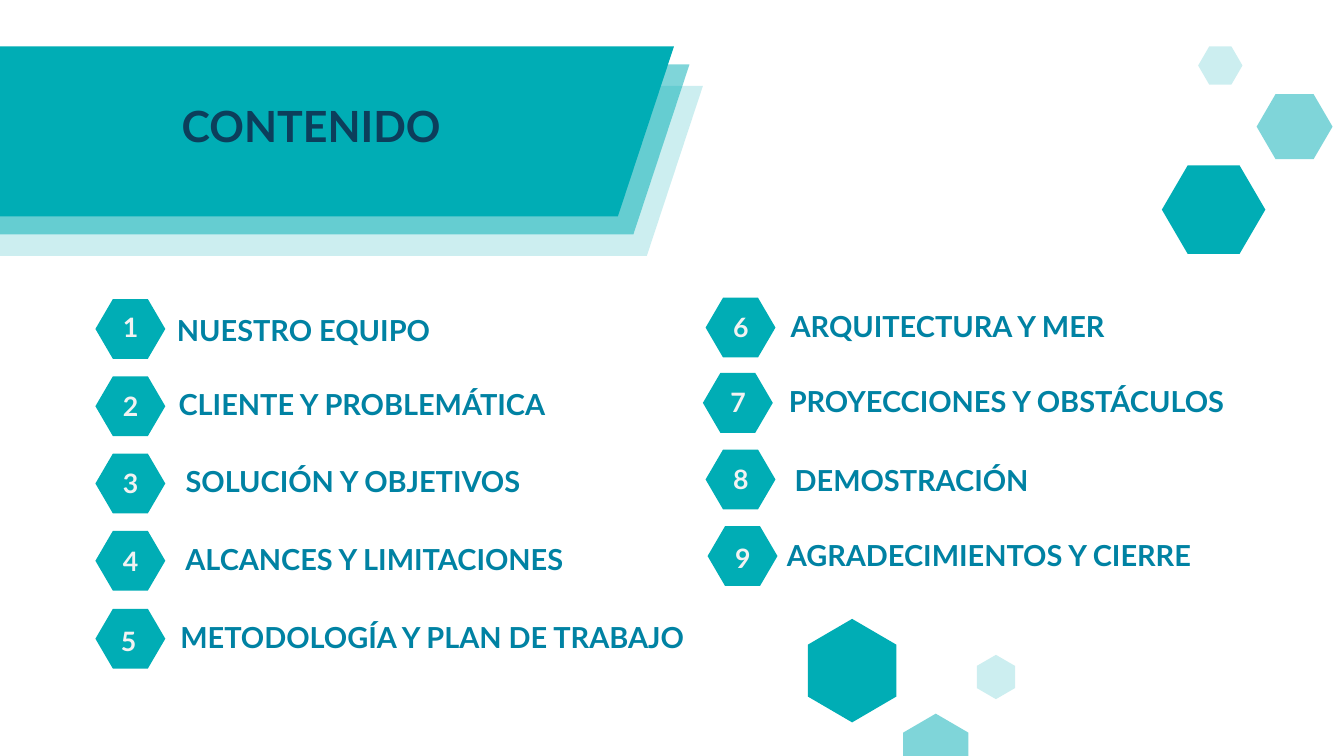
import pptx
import pptx.util
import pptx.dml.color
import pptx.enum.shapes
import pptx.enum.text
import pptx.oxml.ns
import lxml.etree

Inches = pptx.util.Inches
Pt = pptx.util.Pt
RGBColor = pptx.dml.color.RGBColor
Kind = pptx.enum.shapes.MSO_SHAPE

TEAL = RGBColor(0x00, 0xAD, 0xB5)
NAVY = RGBColor(0x0C, 0x3E, 0x5B)
BLUE = RGBColor(0x00, 0x82, 0xA3)
PALE = RGBColor(0xF2, 0xF2, 0xF2)


class Deck:
    font = "Lato"
    lead = 1.4  # line height over text size

    def __init__(self, wide, high):
        self.file = pptx.Presentation()
        self.file.slide_width = Inches(wide)
        self.file.slide_height = Inches(high)
        self.slide = self.file.slides.add_slide(self.file.slide_layouts[6])

    def shape(self, kind, x, y, w, h, slant, alpha):
        """Plain teal shape; slant is a share of its height."""
        shape = self.slide.shapes.add_shape(
            kind, Inches(x), Inches(y), Inches(w), Inches(h))
        shape.adjustments[0] = slant
        shape.shadow.inherit = False
        shape.fill.solid()
        shape.fill.fore_color.rgb = TEAL
        shape.line.fill.background()
        if alpha < 100:
            qn = pptx.oxml.ns.qn
            tint = shape.fill._xPr.find(".//" + qn("a:srgbClr"))
            lxml.etree.SubElement(tint, qn("a:alpha"), val=str(alpha * 1000))
        return shape

    def hexagon(self, x, y, w, h, alpha=100, turn=0):
        # The slanted sides take a quarter of the width each
        shape = self.shape(Kind.HEXAGON, x, y, w, h, w / h / 4, alpha)
        shape.rotation = turn

    def banner(self, x, y, alpha=100):
        self.shape(Kind.PARALLELOGRAM, x, y, 11.27, 2.53, 0.33, alpha)

    def text(self, words, x, y, w, h, size, color):
        box = self.slide.shapes.add_textbox(
            Inches(x), Inches(y), Inches(w), Inches(h))
        frame = box.text_frame
        frame.word_wrap = True
        frame.auto_size = pptx.enum.text.MSO_AUTO_SIZE.SHAPE_TO_FIT_TEXT
        frame.margin_left = frame.margin_right = 0
        frame.margin_top = frame.margin_bottom = 0
        para = frame.paragraphs[0]
        para.alignment = pptx.enum.text.PP_ALIGN.CENTER
        para.line_spacing = Pt(round(size * self.lead, 1))
        run = para.add_run()
        run.text = words
        run.font.name = self.font
        run.font.size = Pt(size)
        run.font.bold = True
        run.font.color.rgb = color

    def badge(self, digit, x, y, dx, dy):
        self.hexagon(x, y, 1.04, 0.89)
        self.text(digit, x + dx, y + dy, 0.27, 0.57, 28.6, PALE)


# Badge x and y, digit offset, then label x, y, width and words
TOPICS = [
    (1.42, 4.45, 0.39, 0.10, 2.60, 4.56, 3.83, "NUESTRO EQUIPO"),
    (1.42, 5.60, 0.39, 0.12, 2.49, 5.66, 5.79, "CLIENTE Y PROBLEMÁTICA"),
    (1.42, 6.75, 0.39, 0.12, 2.49, 6.81, 5.52, "SOLUCIÓN Y OBJETIVOS"),
    (1.42, 7.90, 0.39, 0.13, 2.49, 7.97, 6.16, "ALCANCES Y LIMITACIONES"),
    (1.42, 9.06, 0.36, 0.16, 2.46, 9.14, 7.94, "METODOLOGÍA Y PLAN DE TRABAJO"),
    (10.50, 4.43, 0.39, 0.12, 11.54, 4.50, 5.12, "ARQUITECTURA Y MER"),
    (10.46, 5.55, 0.39, 0.12, 11.50, 5.62, 6.95, "PROYECCIONES Y OBSTÁCULOS"),
    (10.50, 6.69, 0.39, 0.12, 11.73, 6.79, 3.67, "DEMOSTRACIÓN"),
    (10.53, 7.83, 0.39, 0.15, 11.37, 7.92, 6.69, "AGRADECIMIENTOS Y CIERRE"),
]

# Width, height and opacity of the three loose hexagons in each cluster
SIZES = [(1.54, 1.32, 100), (1.13, 0.97, 50), (0.66, 0.57, 20)]
# Turn of each cluster and the places of its hexagons
GROUPS = [
    (0, [(17.29, 2.46), (18.70, 1.40), (17.83, 0.69)]),
    (90, [(11.91, 9.32), (13.36, 10.70), (14.49, 9.79)]),
]


def main():
    deck = Deck(20, 11.25)

    # Loose hexagons, top right and bottom
    for turn, spots in GROUPS:
        for (x, y), (w, h, alpha) in zip(spots, SIZES):
            deck.hexagon(x, y, w, h, alpha, turn)

    # Title banner with its two paler layers
    deck.banner(-1.01, 0.96, 50)
    deck.banner(-0.81, 1.28, 20)
    deck.banner(-1.24, 0.69)
    deck.text("CONTENIDO", 1.79, 1.36, 5.68, 0.87, 46, NAVY)

    # Numbered topics
    for num, (x, y, dx, dy, left, top, wide, words) in enumerate(TOPICS, 1):
        deck.badge(str(num), x, y, dx, dy)
        deck.text(words, left, top, wide, 0.59, 31, BLUE)

    deck.file.save("out.pptx")


if __name__ == "__main__":
    main()
